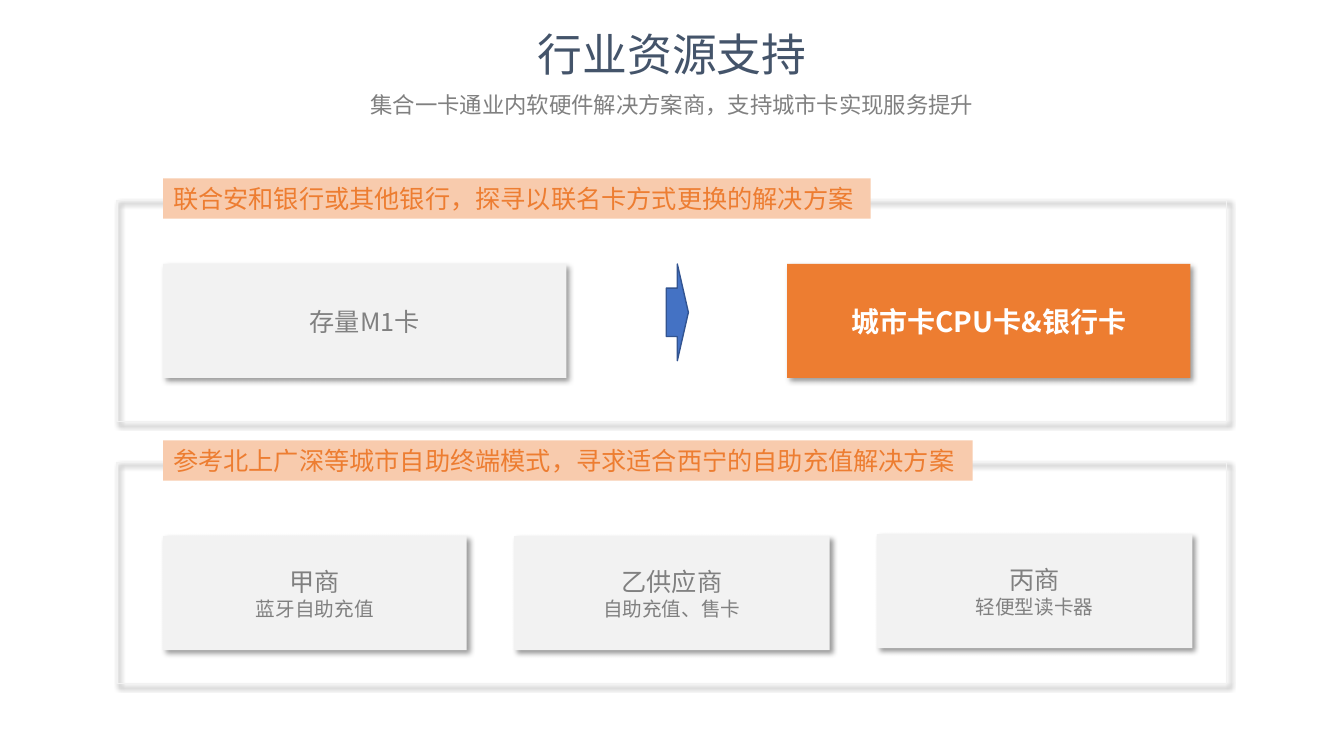
"""Build the slide on partner resources for the city card."""
from dataclasses import dataclass

from lxml import etree
from pptx import Presentation
from pptx import util as u
from pptx.dml import color
from pptx.enum import shapes, text
from pptx.oxml import ns

FONT = "Noto Sans CJK SC"
GREY, PALE, ORANGE, PEACH, WHITE = "808080", "F2F2F2", "ED7D31", "F8CBAD", "FFFFFF"
LEFT = 116.6
STEP = 187.2


@dataclass
class Box:
    left: float
    top: float
    width: float
    height: float


@dataclass
class Card:
    box: Box
    lines: list[tuple[str, float]]
    fill: str = PALE
    ink: str = GREY
    bold: bool = False


@dataclass
class Panel:
    label: str
    width: float
    cards: list[Card]


PANELS = [
    Panel("联合安和银行或其他银行，探寻以联名卡方式更换的解决方案", 505.4, [
        Card(Box(LEFT, 188.6, 288, 81.4), [("存量M1卡", 18)]),
        Card(Box(562.3, 188.6, 288, 81.4), [("城市卡CPU卡&银行卡", 20)], ORANGE, WHITE, True),
    ]),
    Panel("参考北上广深等城市自助终端模式，寻求适合西宁的自助充值解决方案", 578.2, [
        Card(Box(LEFT, 383, 216.7, 81.4), [("甲商", 18), ("蓝牙自助充值", 14)]),
        Card(Box(367.2, 383, 225.4, 81.4), [("乙供应商", 18), ("自助充值、售卡", 14)]),
        Card(Box(626.4, 381.6, 225.4, 81.4), [("丙商", 18), ("轻便型读卡器", 14)]),
    ]),
]


def paint(code: str) -> color.RGBColor:
    return color.RGBColor.from_string(code)


def place(box: Box) -> tuple:
    return u.Pt(box.left), u.Pt(box.top), u.Pt(box.width), u.Pt(box.height)


def write(shape, lines: list[tuple[str, float]], *, ink: str = GREY, bold: bool = False,
          align=text.PP_ALIGN.CENTER, anchor=text.MSO_ANCHOR.MIDDLE,
          wrap: bool = True, space: float = 1.0) -> None:
    frame = shape.text_frame
    frame.word_wrap = wrap
    frame.vertical_anchor = anchor
    for index, (words, size) in enumerate(lines):
        para = frame.add_paragraph() if index else frame.paragraphs[0]
        para.alignment = align
        para.line_spacing = space
        run = para.add_run()
        run.text = words
        font = run.font
        font.name, font.size, font.bold = FONT, u.Pt(size), bold
        font.color.rgb = paint(ink)
        etree.SubElement(run._r.get_or_add_rPr(), ns.qn("a:ea"), typeface=FONT)


def shade(shape) -> None:
    effects = shape._element.spPr.find(ns.qn("a:effectLst"))
    outer = etree.SubElement(effects, ns.qn("a:outerShdw"), blurRad=str(u.Pt(4)),
                             dist=str(u.Pt(3)), dir="2700000", algn="tl", rotWithShape="0")
    tint = etree.SubElement(outer, ns.qn("a:srgbClr"), val="000000")
    etree.SubElement(tint, ns.qn("a:alpha"), val="40000")


def draw(slide, box: Box, fill: str = "", line: str = "", shadow: bool = False,
         kind=shapes.MSO_SHAPE.RECTANGLE):
    shape = slide.shapes.add_shape(kind, *place(box))
    shape.shadow.inherit = False
    if fill:
        shape.fill.solid()
        shape.fill.fore_color.rgb = paint(fill)
    else:
        shape.fill.background()
    if line:
        shape.line.color.rgb = paint(line)
        shape.line.width = u.Pt(1)
    else:
        shape.line.fill.background()
    if shadow:
        shade(shape)
    return shape


def head(slide, box: Box, words: str, size: float, ink: str) -> None:
    write(slide.shapes.add_textbox(*place(box)), [(words, size)], ink=ink, space=0.9)


def block(slide, panel: Panel, shift: float) -> None:
    draw(slide, Box(83.5, 143.3 + shift, 792.7, 157.7), line=PALE, shadow=True)
    label = draw(slide, Box(LEFT, 127.4 + shift, panel.width, 28.8), PEACH)
    write(label, [(panel.label, 18)], ink=ORANGE, align=text.PP_ALIGN.LEFT,
          anchor=text.MSO_ANCHOR.TOP, wrap=False)
    label.text_frame.auto_size = text.MSO_AUTO_SIZE.SHAPE_TO_FIT_TEXT
    for card in panel.cards:
        shape = draw(slide, card.box, card.fill, shadow=True)
        write(shape, card.lines, ink=card.ink, bold=card.bold)


def main() -> None:
    deck = Presentation()
    deck.slide_width, deck.slide_height = u.Pt(960), u.Pt(540)
    slide = deck.slides.add_slide(deck.slide_layouts[6])
    head(slide, Box(94.3, 20.9, 771.8, 40.3), "行业资源支持", 32, "44546A")
    head(slide, Box(94.3, 63.4, 771.8, 24.5),
         "集合一卡通业内软硬件解决方案商，支持城市卡实现服务提升", 16, GREY)
    for index, panel in enumerate(PANELS):
        block(slide, panel, index * STEP)
    draw(slide, Box(475.9, 188.6, 15.8, 69.1), "4472C4", "325491",
         kind=shapes.MSO_SHAPE.RIGHT_ARROW)
    deck.save("out.pptx")


if __name__ == "__main__":
    main()
